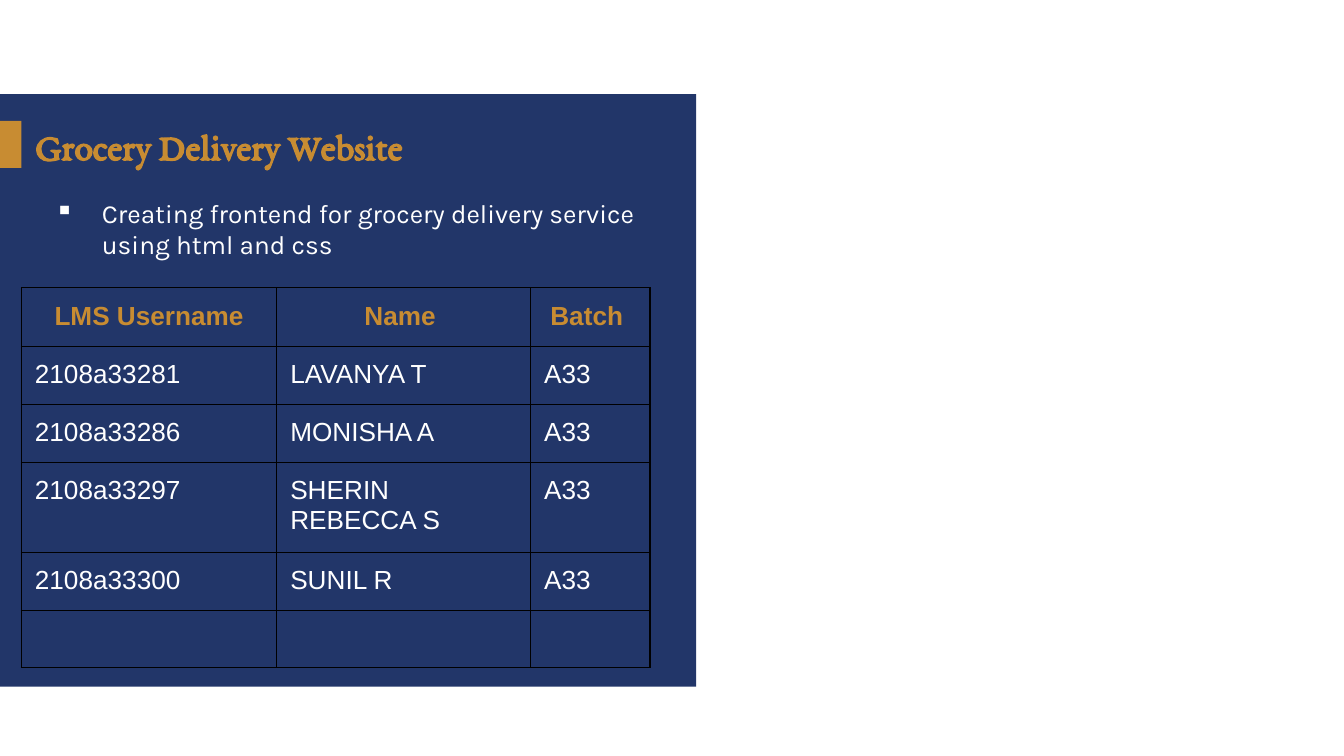
from dataclasses import dataclass

import pptx
import pptx.dml.color
import pptx.enum.shapes
import pptx.enum.text
import pptx.oxml.ns
import pptx.util
from lxml import etree

Pt = pptx.util.Pt
qn = pptx.oxml.ns.qn
ALIGN = pptx.enum.text.PP_ALIGN
ANCHOR = pptx.enum.text.MSO_ANCHOR

COLORS = {"navy": "223669", "gold": "C88C32", "white": "FFFFFF", "black": "000000"}
COLUMN_WIDTHS = [136.8, 136, 64]
ROW_HEIGHTS = [31, 30.2, 30.2, 46, 30.2, 30.2]
CELL_MARGIN = 7.2
BORDER_WIDTH = 0.75


@dataclass
class Box:
    left: float
    top: float
    width: float
    height: float
    color: str = ""

    def lengths(self) -> list[pptx.util.Length]:
        return [Pt(value) for value in (self.left, self.top, self.width, self.height)]


@dataclass
class Member:
    username: str
    name: str
    batch: str = "A33"


PANELS = [Box(0, 50.4, 373, 317.5, "navy"), Box(0, 64.8, 11.5, 25.2, "gold")]
TITLE = Box(11.5, 64.1, 269.3, 27.4)
BODY = Box(11.5, 102.2, 342, 48)
TABLE = Box(11.5, 154.2, sum(COLUMN_WIDTHS), sum(ROW_HEIGHTS))
HEADINGS = ["LMS Username", "Name ", "Batch "]
MEMBERS = [
    Member("2108a33281", "LAVANYA T"),
    Member("2108a33286", "MONISHA A"),
    Member("2108a33297", "SHERIN REBECCA S"),
    Member("2108a33300", "SUNIL R"),
    Member("", "", ""),
]


def rgb(color: str) -> pptx.dml.color.RGBColor:
    return pptx.dml.color.RGBColor.from_string(COLORS[color])


def set_font(paragraph, name: str, size: float, color: str, bold: bool = False) -> None:
    font = paragraph.font
    font.name, font.size, font.bold = name, Pt(size), bold
    font.color.rgb = rgb(color)


def draw_panel(slide, panel: Box) -> None:
    shape = slide.shapes.add_shape(
        pptx.enum.shapes.MSO_SHAPE.RECTANGLE, *panel.lengths()
    )
    shape.shadow.inherit = False
    shape.fill.solid()
    shape.fill.fore_color.rgb = rgb(panel.color)
    shape.line.fill.background()


def write_title(slide, text: str) -> None:
    title = slide.shapes.title
    title.left, title.top, title.width, title.height = TITLE.lengths()
    frame = title.text_frame
    frame.text = text
    frame.auto_size = pptx.enum.text.MSO_AUTO_SIZE.NONE
    frame.vertical_anchor = ANCHOR.MIDDLE
    paragraph = frame.paragraphs[0]
    paragraph.alignment = ALIGN.LEFT
    set_font(paragraph, "EB Garamond", 20, "gold", True)


def write_bullet(slide, text: str) -> None:
    frame = slide.shapes.add_textbox(*BODY.lengths()).text_frame
    frame.word_wrap = True
    paragraph = frame.paragraphs[0]
    paragraph.text = text
    properties = paragraph._p.get_or_add_pPr()
    properties.set("marL", str(Pt(36)))
    properties.set("indent", str(Pt(-25.2)))
    bullet_color = etree.SubElement(properties, qn("a:buClr"))
    etree.SubElement(bullet_color, qn("a:srgbClr"), val=COLORS["white"])
    etree.SubElement(properties, qn("a:buChar"), char="▪")
    set_font(paragraph, "Karla", 14, "white")


def draw_borders(cell) -> None:
    properties = cell._tc.get_or_add_tcPr()
    for side in ("lnL", "lnR", "lnT", "lnB"):
        line = etree.SubElement(properties, qn(f"a:{side}"), w=str(Pt(BORDER_WIDTH)))
        fill = etree.SubElement(line, qn("a:solidFill"))
        etree.SubElement(fill, qn("a:srgbClr"), val=COLORS["black"])


def write_cell(cell, text: str, heading: bool) -> None:
    draw_borders(cell)
    cell.fill.background()
    cell.margin_left = cell.margin_right = Pt(CELL_MARGIN)
    cell.margin_top = cell.margin_bottom = Pt(CELL_MARGIN if text else 0)
    paragraph = cell.text_frame.paragraphs[0]
    paragraph.text = text
    paragraph.alignment = ALIGN.CENTER if heading else ALIGN.LEFT
    set_font(paragraph, "Arial", 14, "gold" if heading else "white", heading)


def draw_table(slide, members: list[Member]) -> None:
    rows = [HEADINGS] + [[m.username, m.name, m.batch] for m in members]
    table = slide.shapes.add_table(len(rows), len(HEADINGS), *TABLE.lengths()).table
    table.first_row = table.horz_banding = False
    for column, width in zip(table.columns, COLUMN_WIDTHS):
        column.width = Pt(width)
    for row, height in zip(table.rows, ROW_HEIGHTS):
        row.height = Pt(height)
    for row_index, texts in enumerate(rows):
        for column_index, text in enumerate(texts):
            write_cell(table.cell(row_index, column_index), text, row_index == 0)


def main() -> None:
    presentation = pptx.Presentation()
    presentation.slide_width, presentation.slide_height = Pt(720), Pt(405)
    slide = presentation.slides.add_slide(presentation.slide_layouts[5])
    for panel in PANELS:
        draw_panel(slide, panel)
    title_element = slide.shapes.title._element
    title_element.getparent().append(title_element)
    write_title(slide, "Grocery Delivery Website")
    write_bullet(
        slide, "Creating frontend for grocery delivery service using html and css"
    )
    draw_table(slide, MEMBERS)
    presentation.save("out.pptx")


if __name__ == "__main__":
    main()
